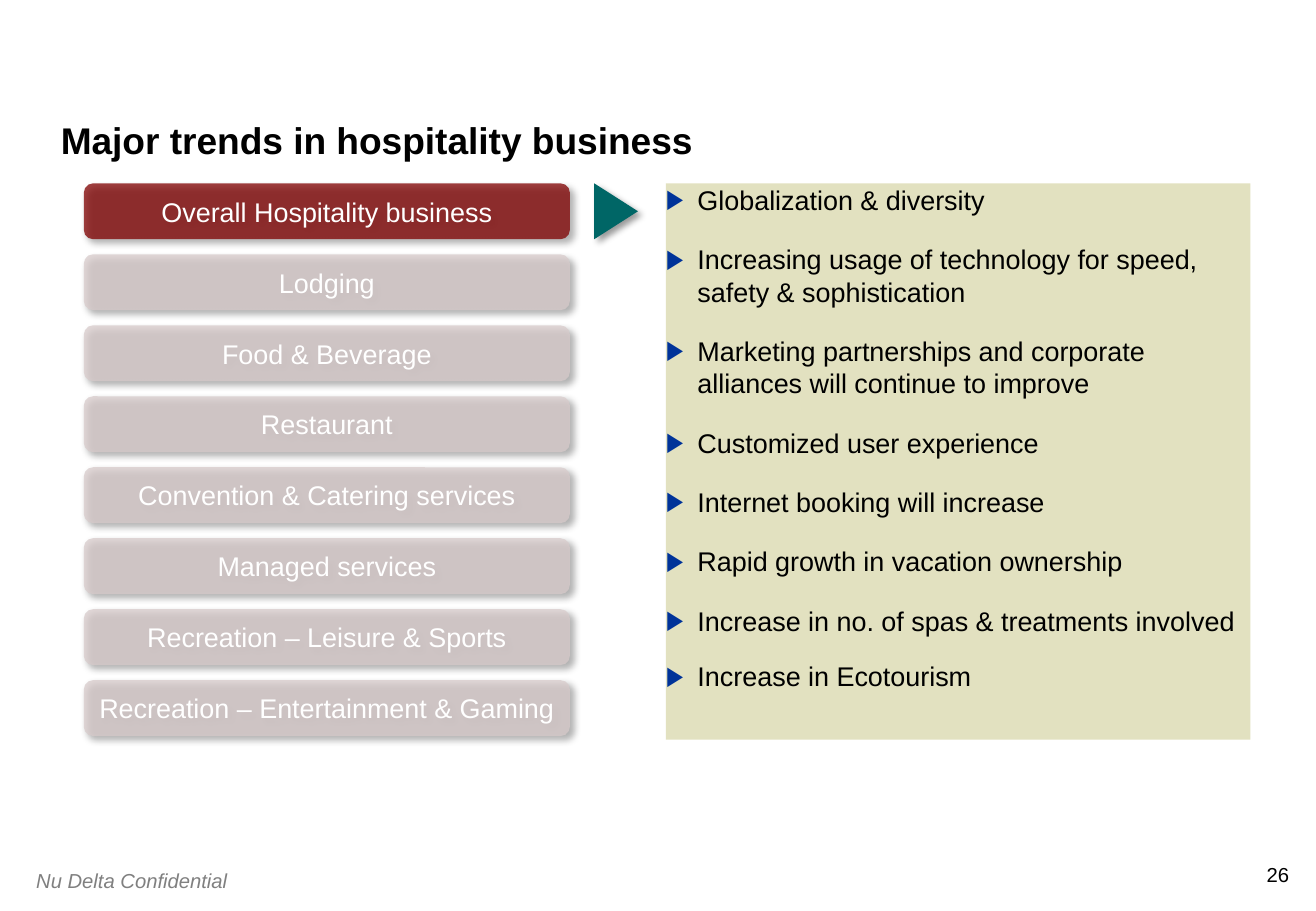
"""Build the slide on major trends in the hospitality business."""
from lxml.etree import SubElement as Sub
from pptx import Presentation
from pptx.dml.color import RGBColor as RGB
from pptx.enum.shapes import MSO_SHAPE as Shape
from pptx.enum.text import MSO_ANCHOR as Anchor, PP_ALIGN as Align
from pptx.oxml.ns import qn
from pptx.util import Inches, Pt

TITLE = "Major trends in hospitality business"
SECTORS = [
    "Overall Hospitality business",
    "Lodging",
    "Food & Beverage",
    "Restaurant",
    "Convention & Catering services",
    "Managed services",
    "Recreation – Leisure & Sports",
    "Recreation – Entertainment & Gaming",
]
TRENDS = [
    "Globalization & diversity",
    "Increasing usage of technology for speed, safety & sophistication",
    "Marketing partnerships and corporate alliances will continue to improve",
    "Customized user experience",
    "Internet booking will increase",
    "Rapid growth in vacation ownership",
    "Increase in no. of spas & treatments involved",
    "Increase in Ecotourism",
]
FOOTER, PAGE = "Nu Delta Confidential", "26"

BLACK, WHITE, GRAY = RGB(0, 0, 0), RGB(255, 255, 255), RGB(128, 128, 128)
MAROON, ROSE = RGB(0x80, 0, 0), RGB(0xD8, 0xCB, 0xCB)
TEAL, SAND, BLUE = RGB(0, 0x66, 0x66), RGB(0xE2, 0xE1, 0xC0), RGB(0, 0x33, 0x99)

WIDTH, HEIGHT = 10.83, 7.5
TOP, LAST, LEFT = 1.51, 5.6, 0.69
WIDE, HIGH = 4, 0.46
PITCH = (LAST - TOP) / (len(SECTORS) - 1)
INDENT = Inches(0.26)


def assign(obj, values):
    for name, value in values.items():
        setattr(obj, name, value)


def write(frame, lines, font, para=None, inset=0, **values):
    sides = ("left", "top", "right", "bottom")
    margins = {f"margin_{side}": Inches(inset) for side in sides}
    assign(frame, {"word_wrap": True, **margins, **values})
    frame.text = "\n".join(lines)
    for item in frame.paragraphs:
        assign(item, para or {})
        run = item.runs[0].font
        color = font["color"]
        assign(run, {"name": "Arial", **{k: v for k, v in font.items() if k != "color"}})
        run.color.rgb = color


def draw(kind, box, color, alpha=100, shade=True):
    shape = slide.shapes.add_shape(kind, *map(Inches, box))
    shape.fill.solid()
    shape.fill.fore_color.rgb = color
    shape.line.fill.background()
    shape.shadow.inherit = False
    props = shape.element.spPr
    if alpha < 100:
        tint = props.find(qn("a:solidFill"))[0]
        Sub(tint, qn("a:alpha"), val=str(alpha * 1000))
    if shade:
        cast = Sub(props.find(qn("a:effectLst")), qn("a:outerShdw"),
                   blurRad=str(Pt(4)), dist=str(Pt(3)), dir=str(45 * 60000),
                   algn="tl", rotWithShape="0")
        dark = Sub(cast, qn("a:srgbClr"), val=str(BLACK))
        Sub(dark, qn("a:alpha"), val="40000")
    return shape


def bullet(item):
    props = item._p.get_or_add_pPr()
    assign_xml = {"marL": INDENT, "indent": -INDENT}
    for name, value in assign_xml.items():
        props.set(name, str(value))
    Sub(Sub(props, qn("a:buClr")), qn("a:srgbClr"), val=str(BLUE))
    Sub(props, qn("a:buFont"), typeface="Arial")
    Sub(props, qn("a:buChar"), char="▶")


deck = Presentation()
assign(deck, {"slide_width": Inches(WIDTH), "slide_height": Inches(HEIGHT)})
slide = deck.slides.add_slide(deck.slide_layouts[5])

title = slide.shapes.title
assign(title, dict(zip(("left", "top", "width", "height"),
                       map(Inches, (0.5, 0.42, 9.83, 0.92)))))
write(title.text_frame, [TITLE], {"size": Pt(22), "bold": True, "color": BLACK},
      {"alignment": Align.LEFT, "line_spacing": 0.9}, vertical_anchor=Anchor.BOTTOM)

panel = draw(Shape.RECTANGLE, (5.48, TOP, 4.81, 4.58), SAND, shade=False)
write(panel.text_frame, TRENDS, {"size": Pt(16), "color": BLACK},
      {"alignment": Align.LEFT, "space_before": Pt(16)}, vertical_anchor=Anchor.TOP)
trends = panel.text_frame.paragraphs
trends[0].space_before = Pt(0)
trends[-1].line_spacing = 0.9
for trend in trends:
    bullet(trend)

for row, sector in enumerate(SECTORS):
    button = draw(Shape.ROUNDED_RECTANGLE, (LEFT, TOP + row * PITCH, WIDE, HIGH),
                  ROSE if row else MAROON, alpha=75)
    write(button.text_frame, [sector], {"size": Pt(16), "color": WHITE},
          {"alignment": Align.CENTER}, inset=0.05, word_wrap=False,
          vertical_anchor=Anchor.MIDDLE)

arrow = draw(Shape.ISOSCELES_TRIANGLE, (4.84, 1.56, HIGH, 0.36), TEAL)
arrow.rotation = 90

NOTES = [
    (PAGE, (10.4, 7.1, 0.21, 0.2), 0, Align.RIGHT, {"color": BLACK}),
    (FOOTER, (0.2, 7.1, 2, 0.3), 0.1, Align.LEFT, {"color": GRAY, "italic": True}),
]
for text, box, inset, align, font in NOTES:
    note = slide.shapes.add_textbox(*map(Inches, box))
    write(note.text_frame, [text], {"size": Pt(12), **font}, {"alignment": align},
          inset=inset, margin_top=Inches(inset / 2), word_wrap=False)

deck.save("out.pptx")
